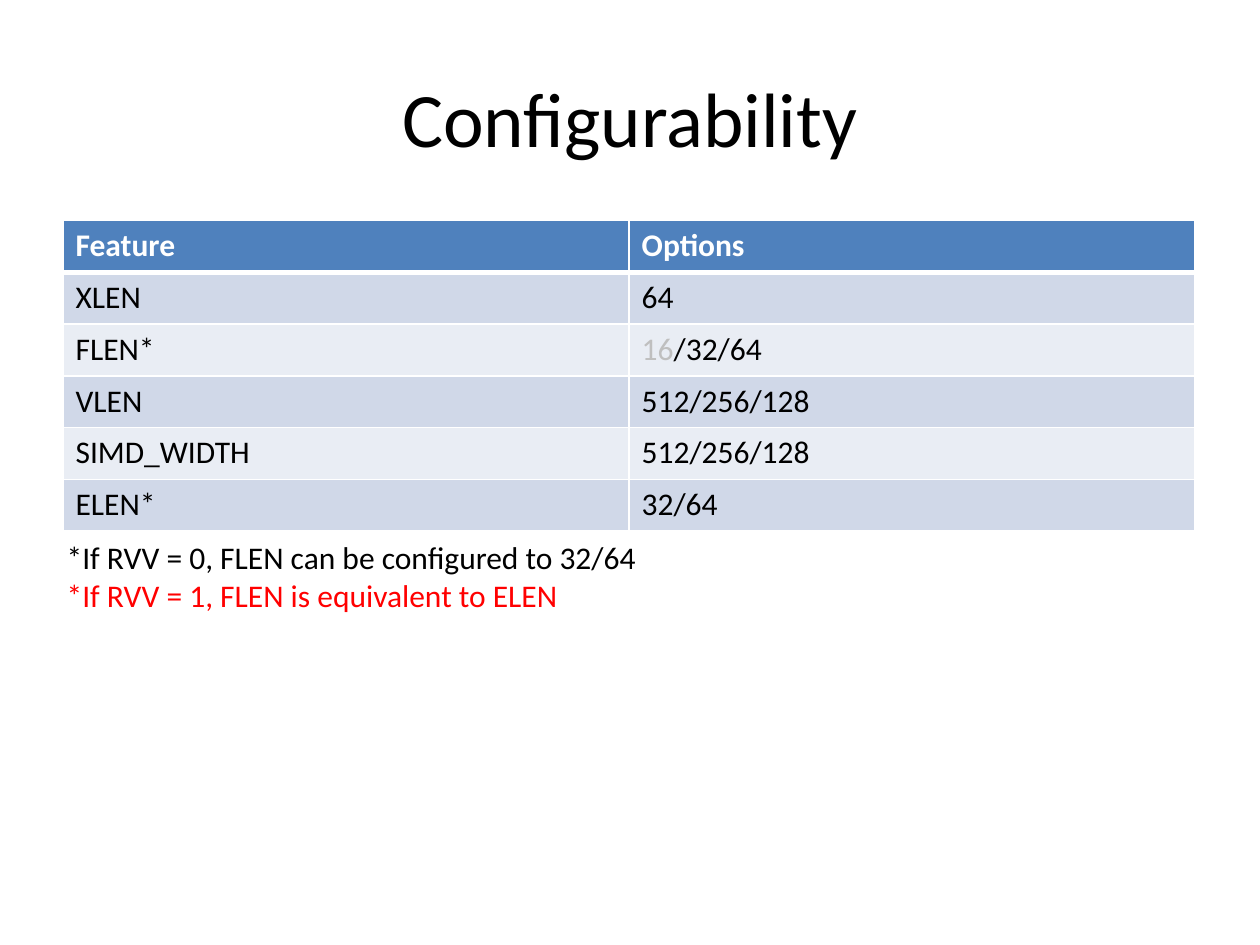
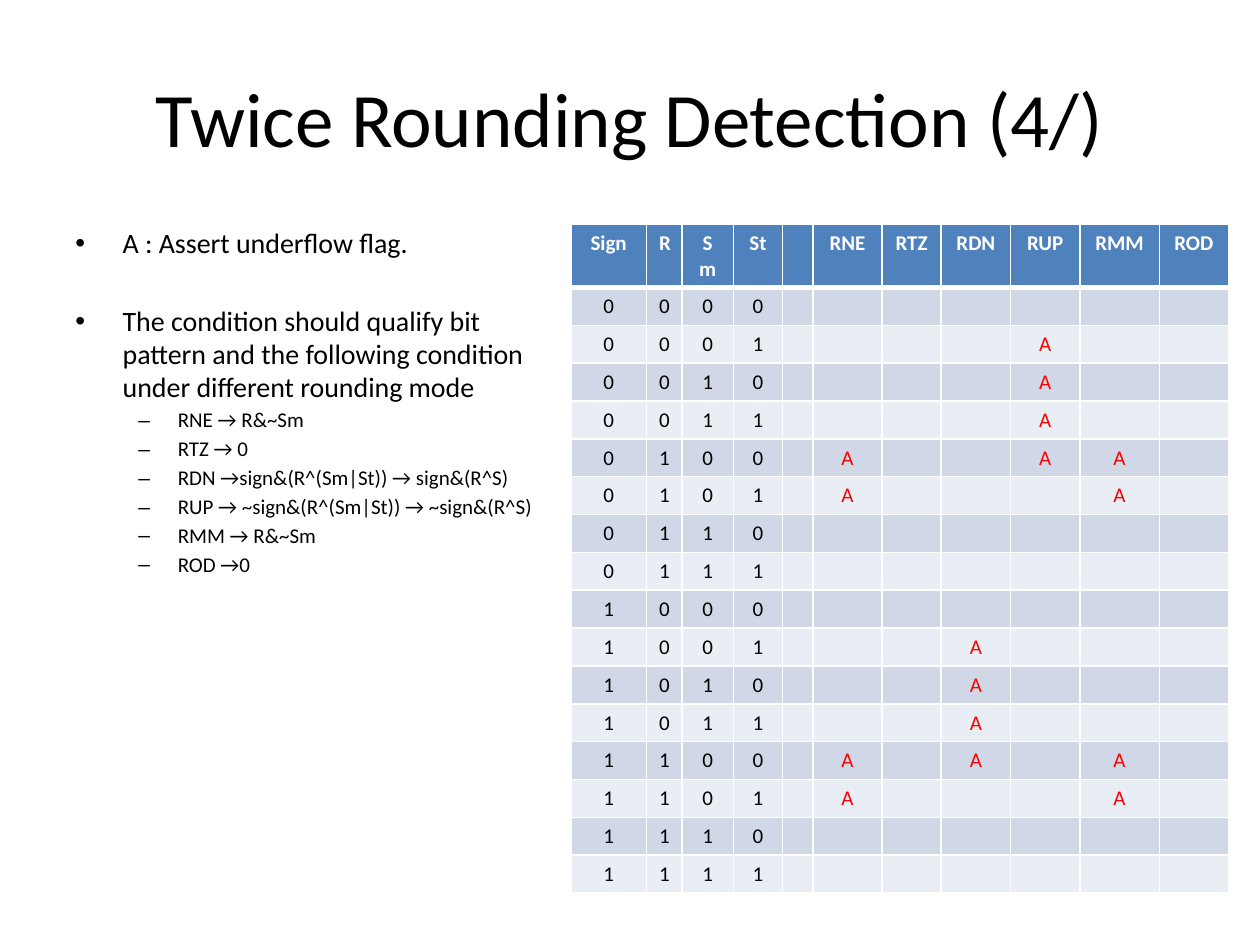
import itertools

import pptx
import pptx.dml.color
import pptx.enum.text
import pptx.oxml
import pptx.oxml.ns
import pptx.util
from lxml import etree

Pt = pptx.util.Pt
RGBColor = pptx.dml.color.RGBColor
ALIGN = pptx.enum.text.PP_ALIGN
ANCHOR = pptx.enum.text.MSO_ANCHOR
qn = pptx.oxml.ns.qn

BLACK = RGBColor(0x00, 0x00, 0x00)
WHITE = RGBColor(0xFF, 0xFF, 0xFF)
RED = RGBColor(0xFF, 0x00, 0x00)
GREY = RGBColor(0xBF, 0xBF, 0xBF)
HEADER = RGBColor(0x4F, 0x81, 0xBD)
BANDS = (RGBColor(0xD0, 0xD8, 0xE8), RGBColor(0xE9, 0xED, 0xF4))
FONT = "Calibri"


def write(p, text, size=18, color=BLACK, bold=False, align=ALIGN.LEFT):
    p.alignment = align
    if not text:
        end = etree.SubElement(p._p, qn("a:endParaRPr"))
        end.set("sz", str(size * 100))
        return
    r = p.add_run()
    r.text = text
    r.font.name = FONT
    r.font.size = Pt(size)
    r.font.bold = bold
    r.font.color.rgb = color


class Deck:
    def __init__(self):
        self.prs = pptx.Presentation()
        self.prs.slide_width = Pt(720)
        self.prs.slide_height = Pt(540)
        self.s = None

    def slide(self, title):
        self.s = self.prs.slides.add_slide(self.prs.slide_layouts[6])
        tf = self.text_frame(36, 21.6, 648, 90)
        tf.vertical_anchor = ANCHOR.MIDDLE
        write(tf.paragraphs[0], title, size=44, align=ALIGN.CENTER)

    def text_frame(self, left, top, width, height, wrap=True):
        sp = self.s.shapes.add_textbox(Pt(left), Pt(top), Pt(width), Pt(height))
        sp.text_frame.word_wrap = wrap
        return sp.text_frame

    def notes(self, left, top, width, height, lines):
        tf = self.text_frame(left, top, width, height, wrap=False)
        for i, (text, color) in enumerate(lines):
            p = tf.add_paragraph() if i else tf.paragraphs[0]
            write(p, text, color=color)

    def bullets(self, left, top, width, height, items):
        tf = self.text_frame(left, top, width, height)
        for i, (text, level, before) in enumerate(items):
            p = tf.add_paragraph() if i else tf.paragraphs[0]
            size, mark, margin, hang = ((16, "•", 27, 27), (12, "–", 58.5, 22.5))[level]
            p.level = level
            p.line_spacing = 0.98
            p.space_before = Pt(before)
            pPr = p._p.get_or_add_pPr()
            pPr.set("marL", str(Pt(margin)))
            pPr.set("indent", str(-Pt(hang)))
            etree.SubElement(pPr, qn("a:buFont")).set("typeface", "Arial")
            etree.SubElement(pPr, qn("a:buChar")).set("char", mark)
            write(p, text, size=size)

    def border(self, cell, side, width):
        ln = etree.SubElement(cell._tc.get_or_add_tcPr(), qn("a:ln" + side))
        ln.set("w", str(Pt(width)))
        fill = etree.SubElement(ln, qn("a:solidFill"))
        etree.SubElement(fill, qn("a:srgbClr")).set("val", str(WHITE))

    def table(self, left, top, widths, row_height, rows, size, align):
        shape = self.s.shapes.add_table(
            len(rows), len(widths), Pt(left), Pt(top),
            Pt(sum(widths)), Pt(row_height * len(rows)))
        tbl = shape.table
        for column, width in zip(tbl.columns, widths):
            column.width = Pt(width)
        for i, row in enumerate(rows):
            tbl.rows[i].height = Pt(row_height)
            for j, runs in enumerate(row):
                cell = tbl.cell(i, j)
                for side in "LRTB":
                    under_header = (i, side) in ((0, "B"), (1, "T"))
                    self.border(cell, side, 3 if under_header else 1)
                cell.fill.solid()
                cell.fill.fore_color.rgb = BANDS[(i - 1) % 2] if i else HEADER
                p = cell.text_frame.paragraphs[0]
                if isinstance(runs, str):
                    runs = [(runs, BLACK if i else WHITE)]
                for text, color in runs:
                    write(p, text, size=size, color=color, bold=i == 0, align=align)


def rounding_rows():
    rows = [["Sign", "R", "Sm", "St", "", "RNE", "RTZ", "RDN", "RUP", "RMM", "ROD"]]
    for sign, r, sm, st in itertools.product((0, 1), repeat=4):
        nearest = r and not sm
        inexact = r ^ (sm | st)
        asserted = (nearest, 0, sign and inexact, not sign and inexact, nearest, 0)
        flags = [[("A", RED)] if flag else "" for flag in asserted]
        rows.append([str(bit) for bit in (sign, r, sm, st)] + [""] + flags)
    return rows


def main():
    deck = Deck()

    deck.slide("Configurability")
    options = [
        ("Feature", "Options"),
        ("XLEN", "64"),
        ("FLEN*", [("16", GREY), ("/32/64", BLACK)]),
        ("VLEN", "512/256/128"),
        ("SIMD_WIDTH", "512/256/128"),
        ("ELEN*", "32/64"),
    ]
    deck.table(36, 126, [323.5] * 2, 29.6, options, size=18, align=ALIGN.LEFT)
    deck.notes(31, 304, 344, 51, [
        ("*If RVV = 0, FLEN can be configured to 32/64", BLACK),
        ("*If RVV = 1, FLEN is equivalent to ELEN", RED),
    ])

    deck.slide("Twice Rounding Detection (4/)")
    conditions = [
        "RNE → R&~Sm",
        "RTZ → 0",
        "RDN →sign&(R^(Sm|St)) → sign&(R^S)",
        "RUP → ~sign&(R^(Sm|St)) → ~sign&(R^S)",
        "RMM → R&~Sm",
        "ROD →0",
    ]
    deck.bullets(36, 126, 290, 356, [
        ("A : Assert underflow flag.", 0, 0),
        ("The condition should qualify bit pattern and the following condition "
         "under different rounding mode", 0, 26),
    ] + [(text, 1, 2.4) for text in conditions])
    widths = [43.2, 20.2, 29.5, 28.1, 17.3, 39.6, 33.8, 39.6, 39.6, 45.4, 39.6]
    deck.table(326.2, 128.2, widths, 21.6, rounding_rows(), size=12, align=ALIGN.CENTER)

    deck.prs.save("out.pptx")


if __name__ == "__main__":
    main()
